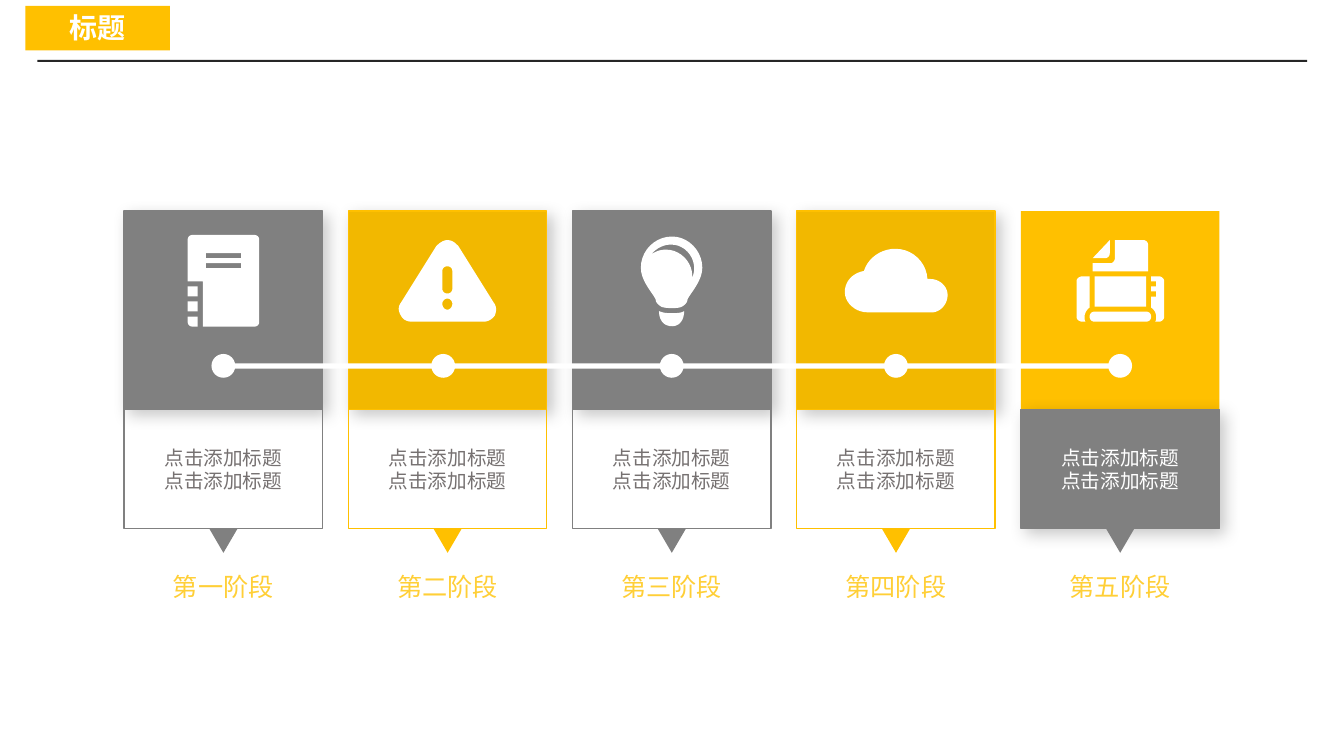
from dataclasses import dataclass
from typing import Optional

from lxml.etree import SubElement as Sub
from pptx import Presentation
from pptx.dml.color import RGBColor as Rgb
from pptx.enum.shapes import MSO_SHAPE as Kind
from pptx.enum.text import MSO_ANCHOR as Anchor, MSO_AUTO_SIZE as Fit, PP_ALIGN as Align
from pptx.oxml.ns import qn
from pptx.util import Cm, Pt

HUES = {
    "white": "FFFFFF", "gold": "FFC000", "amber": "F2B800", "sun": "FFCF37",
    "grey": "808080", "slate": "767171", "ink": "262626",
}
FONT = "Noto Sans CJK SC"
LEAD = 1.17                 # line pitch as a share of the type size
GRID = Cm(2.54) / 100       # one unit of the icon drawings
CURVE = 10                  # straight pieces per curve
LEFT, STEP, SIDE = 3.13, 5.65, 5.0
TOP, FOOT, DEPTH = 5.32, 10.32, 3.0
DOT = 0.6


@dataclass
class Icon:
    left: float
    top: float
    paths: tuple[str, ...]
    rects: tuple[tuple[int, int, int, int], ...] = ()


@dataclass
class Stage:
    name: str
    icon: Icon
    head: str
    edge: Optional[str]     # outline of the head
    trim: str               # outline of the body
    tip: str
    body: Optional[str] = None
    text: str = "slate"
    shift: float = 0        # sideways move of the dot


BOOK = Icon(4.73, 5.92, (
    "M 10 91 L 5 91 C 2 91 0 89 0 86 L 0 81 L 10 81",
    "M 5 0 L 66 0 C 69 0 71 2 71 5 L 71 86 C 71 89 69 91 66 91 L 15 91 L 15 46 L 0 46"
    " L 0 5 C 0 2 2 0 5 0 M 18 33 L 53 33 L 53 28 L 18 28 M 18 23 L 53 23 L 53 18 L 18 18",
), ((0, 51, 10, 10), (0, 66, 10, 10)))
ALERT = Icon(10.03, 6.05, (
    "M 38 6 C 41 3 45 0 49 0 C 54 0 57 3 60 6 L 95 62 C 98 66 98 70 96 75"
    " C 93 79 89 81 85 81 L 14 81 C 9 81 5 79 3 75 C 0 70 0 66 3 62"
    " M 49 69 C 52 69 54 66 54 63 C 54 61 52 58 49 58 C 46 58 44 61 44 63 C 44 66 46 69 49 69"
    " M 44 48 C 44 51 46 53 49 53 C 52 53 54 51 54 48 L 54 31"
    " C 54 28 52 26 49 26 C 46 26 44 28 44 31",
))
BULB = Icon(16.15, 5.96, (
    "M 18 74 C 23 76 26 76 31 76 C 35 76 40 76 43 74 C 43 82 39 89 31 89 C 22 89 18 82 18 74",
    "M 31 0 C 47 0 61 14 61 31 C 61 46 46 59 46 64 C 46 65 44 68 40 70 C 37 71 34 71 31 71"
    " C 28 71 25 71 21 70 C 17 68 15 65 15 64 C 15 59 0 46 0 31 C 0 14 14 0 31 0"
    " M 25 13 C 39 13 51 25 51 39 L 51 41 C 52 38 53 35 53 32 C 53 19 43 8 30 8"
    " C 22 8 15 12 10 18 C 14 15 19 13 25 13",
))
CLOUD = Icon(21.29, 6.27, (
    "M 19 22 C 23 9 36 0 50 0 C 67 0 81 13 82 30 L 85 30 C 94 30 102 37 102 46"
    " C 102 54 96 62 88 63 L 22 63 C 11 63 0 54 0 43 C 0 32 8 24 19 22",
))
PRINT = Icon(27.13, 6.05, (
    "M 6 36 L 13 36 L 13 67 C 10 69 8 73 8 76 C 8 78 8 80 9 81 L 6 81 C 3 81 0 79 0 76"
    " L 0 41 C 0 38 3 36 6 36",
    "M 18 71 L 69 71 C 72 71 74 73 74 76 C 74 79 72 81 69 81 L 18 81"
    " C 15 81 13 79 13 76 C 13 73 15 71 18 71",
    "M 74 67 L 74 56 L 79 56 L 79 51 L 74 51 L 74 46 L 79 46 L 79 41 L 74 41 L 74 36 L 82 36"
    " C 84 36 87 38 87 41 L 87 76 C 87 79 84 81 82 81 L 78 81 C 79 80 79 78 79 76"
    " C 79 72 77 69 74 67",
    "M 28 18 L 16 18 L 33 0 L 33 13 C 33 16 31 18 28 18",
    "M 16 23 L 33 23 C 36 23 38 21 38 18 L 38 0 L 66 0 C 69 0 71 2 71 5 L 71 31 L 16 31",
), ((18, 36, 51, 30),))

STAGES = (
    Stage("第一阶段", BOOK, "grey", "grey", "grey", "grey"),
    Stage("第二阶段", ALERT, "amber", "gold", "gold", "gold", shift=-0.11),
    Stage("第三阶段", BULB, "grey", "grey", "grey", "grey"),
    Stage("第四阶段", CLOUD, "amber", "gold", "gold", "gold"),
    Stage("第五阶段", PRINT, "gold", None, "grey", "grey", "grey", "white"),
)


def paint(shape, fill: Optional[str], edge: Optional[str] = None, shade: bool = False) -> None:
    shape.shadow.inherit = False
    if fill:
        shape.fill.solid()
        shape.fill.fore_color.rgb = Rgb.from_string(HUES[fill])
    else:
        shape.fill.background()
    if edge:
        shape.line.color.rgb = Rgb.from_string(HUES[edge])
        shape.line.width = Pt(1)
    else:
        shape.line.fill.background()
    if shade:
        effects = shape._element.spPr.find(qn("a:effectLst"))
        outer = Sub(effects, qn("a:outerShdw"), blurRad=str(Pt(12)), dist=str(Pt(5)),
                    dir=str(45 * 60000), algn="tl", rotWithShape="0")
        tint = Sub(outer, qn("a:srgbClr"), val="000000")
        Sub(tint, qn("a:alpha"), val="21000")


def draw(host, kind: Kind, x: float, y: float, w: float, h: float,
         fill: Optional[str], edge: Optional[str] = None, shade: bool = False):
    shape = host.add_shape(kind, Cm(x), Cm(y), Cm(w), Cm(h))
    paint(shape, fill, edge, shade)
    return shape


def write(shape, lines: tuple[str, ...], size: int, hue: str, bold: bool = False) -> None:
    for i, line in enumerate(lines):
        frame = shape.text_frame
        para = frame.paragraphs[0] if i == 0 else frame.add_paragraph()
        para.alignment = Align.CENTER
        para.line_spacing = Pt(round(size * LEAD, 1))
        run = para.add_run()
        run.text = line
        font = run.font
        font.size, font.bold, font.name = Pt(size), bold, FONT
        font.color.rgb = Rgb.from_string(HUES[hue])
        Sub(run._r.get_or_add_rPr(), qn("a:ea"), typeface=FONT)


def trace(path: str) -> list[list[tuple[float, float]]]:
    """Turn M, L and C commands into closed loops of points."""
    loops, words = [], iter(path.split())
    for word in words:
        pairs = [(int(next(words)), int(next(words))) for _ in range(3 if word == "C" else 1)]
        if word == "M":
            loops.append(pairs)
        elif word == "L":
            loops[-1] += pairs
        else:
            knots = [loops[-1][-1], *pairs]
            for step in range(1, CURVE + 1):
                t = step / CURVE
                parts = ((1 - t) ** 3, 3 * t * (1 - t) ** 2, 3 * t * t * (1 - t), t ** 3)
                loops[-1].append((sum(p * k[0] for p, k in zip(parts, knots)),
                                  sum(p * k[1] for p, k in zip(parts, knots))))
    return loops


def add_icon(slide, icon: Icon) -> None:
    many = len(icon.paths) + len(icon.rects) > 1
    host = slide.shapes.add_group_shape().shapes if many else slide.shapes
    left, top = Cm(icon.left), Cm(icon.top)
    for path in icon.paths:
        loops = [[(left + x * GRID, top + y * GRID) for x, y in loop] for loop in trace(path)]
        pen = host.build_freeform(*loops[0][0])
        for i, loop in enumerate(loops):
            if i:
                pen.move_to(*loop[0])
            pen.add_line_segments(loop[1:], close=True)
        paint(pen.convert_to_shape(), "white")
    for x, y, w, h in icon.rects:
        box = (round(n * GRID) for n in (x, y, w, h))
        dx, dy, wide, high = box
        paint(host.add_shape(Kind.RECTANGLE, left + dx, top + dy, wide, high), "white")


def add_card(slide, x: float, stage: Stage) -> None:
    draw(slide.shapes, Kind.RECTANGLE, x, TOP, SIDE, SIDE, stage.head, stage.edge,
         shade=stage.edge is not None)
    body = draw(slide.shapes, Kind.RECTANGLE, x, FOOT, SIDE, DEPTH, stage.body, stage.trim,
                shade=stage.body is not None)
    body.text_frame.word_wrap = True
    body.text_frame.vertical_anchor = Anchor.MIDDLE
    write(body, ("点击添加标题",) * 2, 14, stage.text)


def add_label(slide, x: float, stage: Stage) -> None:
    mid = x + SIDE / 2
    tip = draw(slide.shapes, Kind.ISOSCELES_TRIANGLE, mid - 0.35, 13.33, 0.7, 0.6, stage.tip)
    tip.rotation = 180
    label = slide.shapes.add_textbox(Cm(mid - 1.54), Cm(14.3), Cm(3.08), Cm(1.02))
    label.text_frame.word_wrap = False
    label.text_frame.auto_size = Fit.SHAPE_TO_FIT_TEXT
    write(label, (stage.name,), 18, "sun")


def add_title(slide) -> None:
    title = slide.shapes.title
    title.left, title.top, title.width, title.height = Cm(0.64), Cm(0.15), Cm(3.64), Cm(1.12)
    paint(title, "gold")
    title.text_frame.auto_size = Fit.NONE
    title.text_frame.vertical_anchor = Anchor.MIDDLE
    write(title, ("标题",), 20, "white", bold=True)
    draw(slide.shapes, Kind.RECTANGLE, 0.94, 1.51, 32.0, 0.05, "ink")


def main() -> None:
    deck = Presentation()
    deck.slide_width, deck.slide_height = Cm(33.87), Cm(19.05)
    slide = deck.slides.add_slide(deck.slide_layouts[5])
    add_title(slide)
    places = [(LEFT + i * STEP, stage) for i, stage in enumerate(STAGES)]
    for x, stage in places:
        add_card(slide, x, stage)
    for stage in STAGES:
        add_icon(slide, stage.icon)
    track = slide.shapes.add_group_shape().shapes
    for x, stage in places:
        draw(track, Kind.OVAL, x + (SIDE - DOT) / 2 + stage.shift, 8.92, DOT, DOT, "white")
    draw(track, Kind.RECTANGLE, 5.44, 9.16, 22.6, 0.13, "white")
    for x, stage in places:
        add_label(slide, x, stage)
    deck.save("out.pptx")


if __name__ == "__main__":
    main()
